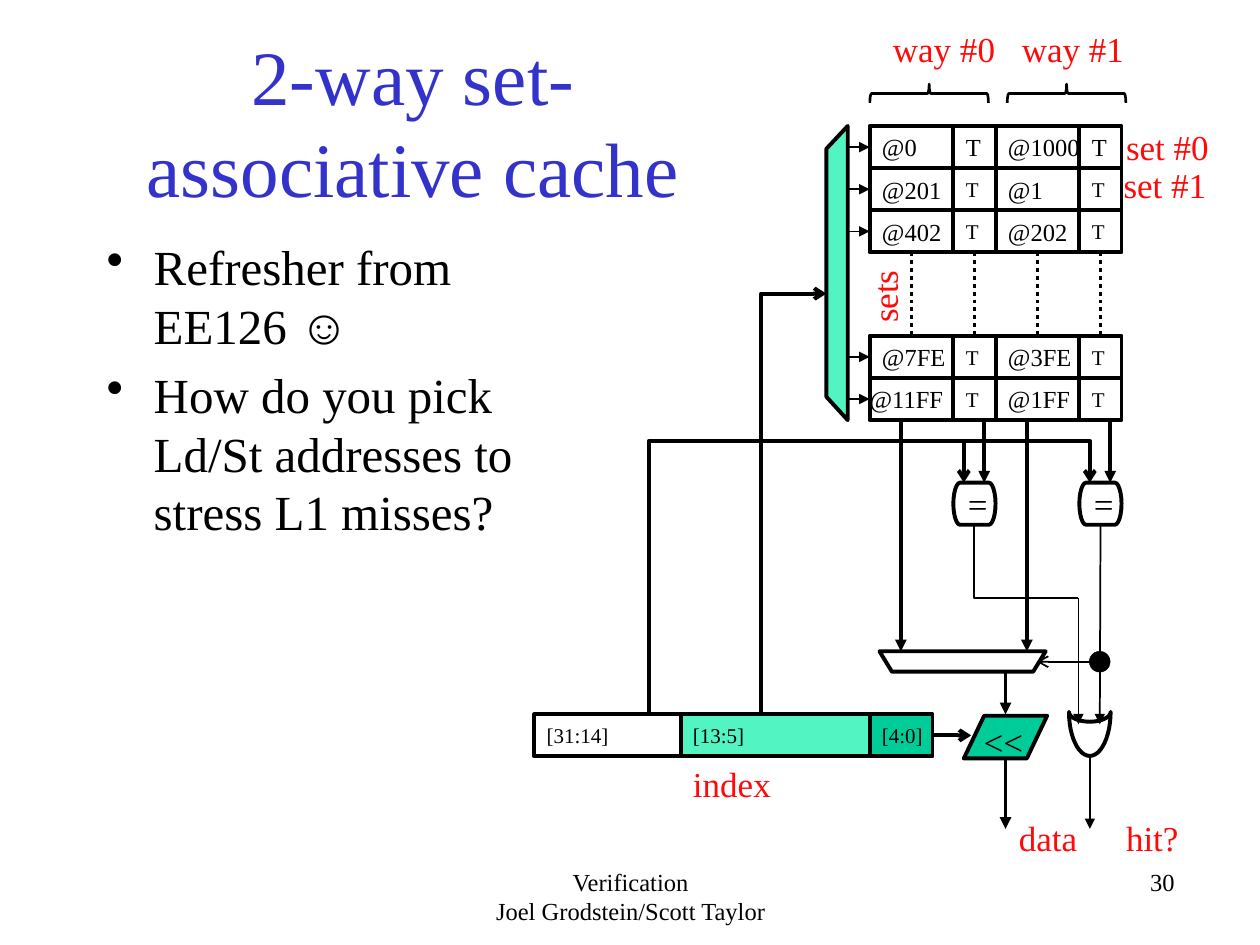
from math import cos, pi, sin

from pptx import Presentation
from pptx.dml.color import RGBColor
from pptx.enum.dml import MSO_LINE
from pptx.enum.shapes import MSO_CONNECTOR, MSO_SHAPE
from pptx.enum.text import MSO_ANCHOR, PP_ALIGN
from pptx.oxml.ns import qn
from pptx.oxml.xmlchemy import OxmlElement
from pptx.util import Cm, Pt

BLACK = RGBColor(0x00, 0x00, 0x00)
BLUE = RGBColor(0x33, 0x33, 0xCC)
RED = RGBColor(0xFF, 0x09, 0x09)
GREEN = RGBColor(0x00, 0xCC, 0x99)
MINT = RGBColor(0x52, 0xF4, 0xC2)

FONT = "Times New Roman"
THICK, THIN = 2.25, 1
TOP, BOTTOM, LEFT, RIGHT = 0, 2, 1, 3

# All positions are in centimetres.
WAY_LEFTS = (17.53, 20.07)
TAG_WIDTH, CELL = 1.69, 0.85
CACHE_TOP, LOWER_TOP, CACHE_BOTTOM = 2.54, 6.77, 8.47
COMPARATOR_TOP, ADDRESS_TOP = 9.73, 14.4
DECODER_LEFT, DECODER_RIGHT = 16.66, 17.09
UPPER_SETS = (("@0", "@1000"), ("@201", "@1"), ("@402", "@202"))
LOWER_SETS = (("@7FE", "@3FE"), ("@11FF", "@1FF"))


def write_text(text_frame, lines, size, color=BLACK, alignment=PP_ALIGN.LEFT):
    for index, line in enumerate(lines):
        paragraph = text_frame.paragraphs[0] if index == 0 else text_frame.add_paragraph()
        paragraph.alignment = alignment
        run = paragraph.add_run()
        run.text = line
        run.font.color.rgb = color
        for name, value in {"name": FONT, "size": Pt(size)}.items():
            setattr(run.font, name, value)


def add_label(slide, lines, left, top, width, height=1.1, size=20, color=RED,
              alignment=PP_ALIGN.LEFT):
    label = slide.shapes.add_textbox(Cm(left), Cm(top), Cm(width), Cm(height))
    label.text_frame.word_wrap = True
    write_text(label.text_frame, lines, size, color, alignment)
    return label


def style_shape(shape, fill=None, weight=THICK):
    shape.shadow.inherit = False
    if fill is None:
        shape.fill.background()
    else:
        shape.fill.solid()
        shape.fill.fore_color.rgb = fill
    shape.line.color.rgb = BLACK
    shape.line.width = Pt(weight)


def add_box(slide, kind, left, top, width, height, text="", size=14, fill=None, weight=THICK):
    box = slide.shapes.add_shape(kind, Cm(left), Cm(top), Cm(width), Cm(height))
    style_shape(box, fill, weight)
    if text:
        frame = box.text_frame
        frame.word_wrap = False
        frame.vertical_anchor = MSO_ANCHOR.MIDDLE
        write_text(frame, [text], size)
    return box


def add_arrowhead(shape, kind):
    tail = OxmlElement("a:tailEnd")
    tail.set("type", kind)
    shape.element.spPr.find(qn("a:ln")).append(tail)


def add_line(slide, start=(0, 0), end=(0, 0), weight=THICK, head="triangle",
             begin_at=None, end_at=None):
    """Draw a straight line; begin_at and end_at are (shape, side) pairs to join."""
    line = slide.shapes.add_connector(
        MSO_CONNECTOR.STRAIGHT, *(Cm(value) for value in (*start, *end)))
    if begin_at:
        line.begin_connect(*begin_at)
    if end_at:
        line.end_connect(*end_at)
    line.line.color.rgb = BLACK
    line.line.width = Pt(weight)
    line.element.spPr.append(OxmlElement("a:effectLst"))
    if head:
        add_arrowhead(line, head)
    return line


def add_outline(slide, points, closed=True, fill=None, weight=THICK, head=None):
    corners = [(Cm(x), Cm(y)) for x, y in points]
    builder = slide.shapes.build_freeform(*corners[0])
    builder.add_line_segments(corners[1:], close=closed)
    outline = builder.convert_to_shape()
    style_shape(outline, fill, weight)
    if head:
        add_arrowhead(outline, head)


def add_or_gate(slide, center_x, top, half_width, depth, dip):
    """Draw the gate as two half ellipses that share their upper corners."""
    steps = 24

    def arc(height):
        angles = [pi * step / steps for step in range(steps + 1)]
        return [(center_x + half_width * cos(a), top + height * sin(a)) for a in angles]

    add_outline(slide, arc(depth) + arc(dip)[-2:0:-1])


def add_set_row(slide, tags, top, flag_size):
    """Add one cache set, with its select arrow, and return its cells."""
    cells = []
    for left, tag in zip(WAY_LEFTS, tags):
        cells.append(add_box(slide, MSO_SHAPE.RECTANGLE, left, top, TAG_WIDTH, CELL, tag))
        cells.append(add_box(slide, MSO_SHAPE.RECTANGLE, left + TAG_WIDTH, top, CELL, CELL,
                             "T", flag_size))
    add_line(slide, (DECODER_RIGHT, top + CELL / 2), weight=THIN, end_at=(cells[0], LEFT))
    return cells


def add_cache(slide):
    upper = [add_set_row(slide, tags, CACHE_TOP + row * CELL, 12 if row else 14)
             for row, tags in enumerate(UPPER_SETS)]
    lower = [add_set_row(slide, tags, LOWER_TOP + row * CELL, 12)
             for row, tags in enumerate(LOWER_SETS)]
    wide_tag = lower[1][0].text_frame
    wide_tag.margin_left = wide_tag.margin_right = 0
    for above, below in zip(upper[-1], lower[0]):
        dots = add_line(slide, head=None, begin_at=(above, BOTTOM), end_at=(below, TOP))
        dots.line.dash_style = MSO_LINE.ROUND_DOT
    add_outline(slide, [(DECODER_RIGHT, CACHE_TOP), (DECODER_RIGHT, CACHE_BOTTOM),
                        (DECODER_LEFT, 8), (DECODER_LEFT, 3)], fill=MINT)
    for left in (18.54, 21.31):
        brace = add_box(slide, MSO_SHAPE.LEFT_BRACE, left, 0.69, 0.38, 2.39, weight=1.5)
        brace.rotation = 90


def add_address(slide):
    left = 10.77
    for text, width, fill in (("[31:14]", 2.95, None), ("[13:5]", 3.81, MINT),
                              ("[4:0]", 1.27, GREEN)):
        field = add_box(slide, MSO_SHAPE.RECTANGLE, left, ADDRESS_TOP, width, CELL,
                        text, 12, fill)
        left += width
    add_line(slide, end=(19.58, ADDRESS_TOP + CELL / 2), head="arrow", begin_at=(field, RIGHT))


def add_lookup_logic(slide):
    for left in WAY_LEFTS:
        comparator = add_box(slide, MSO_SHAPE.FLOWCHART_TERMINATOR, left + TAG_WIDTH,
                             COMPARATOR_TOP, CELL, CELL, "=", 20)
        add_line(slide, (left + 0.63, CACHE_BOTTOM), (left + 0.63, 13.13))
        add_line(slide, (left + 2.31, CACHE_BOTTOM), (left + 2.31, COMPARATOR_TOP))
    add_line(slide, end=(22.17, 14.6), weight=THIN, begin_at=(comparator, BOTTOM))

    for points, weight, head in (
            ([(13.08, ADDRESS_TOP), (13.08, 8.89), (19.43, 8.89), (19.43, COMPARATOR_TOP)],
             THICK, "arrow"),
            ([(19.43, 8.89), (21.97, 8.89), (21.97, COMPARATOR_TOP)], THICK, "arrow"),
            ([(15.34, ADDRESS_TOP), (15.34, 5.92), (DECODER_LEFT, 5.92)], THICK, "arrow"),
            ([(22.17, 12.7), (22.17, 13.34), (20.9, 13.34)], THIN, "arrow"),
            ([(19.64, 10.58), (19.64, 12.06), (21.74, 12.06)], THIN, None)):
        add_outline(slide, points, closed=False, weight=weight, head=head)

    for x, top, bottom, weight in ((20.27, 13.54, ADDRESS_TOP, THICK),
                                   (20.27, 15.29, 16.71, THICK),
                                   (21.97, 15.24, 16.71, THIN), (21.74, 12.06, 14.6, THIN)):
        add_line(slide, (x, top), (x, bottom), weight)

    add_outline(slide, [(17.73, 13.13), (21.08, 13.13), (20.83, 13.54), (17.98, 13.54)])
    add_outline(slide, [(19.84, 14.43), (19.43, 15.29), (20.7, 15.29), (21.11, 14.43)],
                fill=GREEN)
    add_or_gate(slide, 21.97, 14.35, 0.42, 0.89, 0.2)
    add_box(slide, MSO_SHAPE.FLOWCHART_CONNECTOR, 21.96, 13.13, 0.42, 0.42,
            fill=BLACK, weight=0.25)


def add_labels(slide):
    for text, left, top, width in (
            ("way #0", 17.75, 0.43, 2.7), ("way #1", 20.35, 0.43, 2.7),
            ("set #0", 22.45, 2.41, 2.31), ("set #1", 22.4, 3.18, 2.31),
            ("index", 13.72, 15.24, 2.11), ("data", 20.29, 16.33, 1.88),
            ("hit?", 22.45, 16.33, 1.65)):
        add_label(slide, [text], left, top, width)
    add_label(slide, ["sets"], 16.92, 5.31, 1.8).rotation = 270
    add_label(slide, ["<<"], 19.58, 14.4, 1.35, color=BLACK)
    add_label(slide, ["Verification", "Joel Grodstein/Scott Taylor"], 8.69, 17.35, 8.05, 1.27,
              14, BLACK, PP_ALIGN.CENTER)
    add_label(slide, ["30"], 15.88, 17.35, 8.05, 1.27, 14, BLACK, PP_ALIGN.RIGHT)


def add_title(slide):
    title = slide.shapes.title
    for name, value in {"left": 1.9, "top": 0.84, "width": 12.85, "height": 3.18}.items():
        setattr(title, name, Cm(value))
    title.text_frame.vertical_anchor = MSO_ANCHOR.MIDDLE
    write_text(title.text_frame, ["2-way set-associative cache"], 44, BLUE, PP_ALIGN.CENTER)


def add_bullets(slide):
    lines = ["Refresher from EE126 ☺", "How do you pick Ld/St addresses to stress L1 misses?"]
    body = add_label(slide, lines, 1.9, 4.65, 9.32, 12.27, 28, BLACK)
    for index, paragraph in enumerate(body.text_frame.paragraphs):
        properties = paragraph._p.get_or_add_pPr()
        properties.set("marL", str(Cm(0.95)))
        properties.set("indent", str(Cm(-0.95)))
        bullet = OxmlElement("a:buChar")
        bullet.set("char", "•")
        properties.append(bullet)
        if index:
            paragraph.space_before = Pt(5.6)


def main():
    presentation = Presentation()
    presentation.slide_width, presentation.slide_height = Cm(25.4), Cm(19.05)
    slide = presentation.slides.add_slide(presentation.slide_layouts[5])
    add_title(slide)
    add_bullets(slide)
    add_lookup_logic(slide)
    add_address(slide)
    add_cache(slide)
    add_labels(slide)
    presentation.save("out.pptx")


if __name__ == "__main__":
    main()
